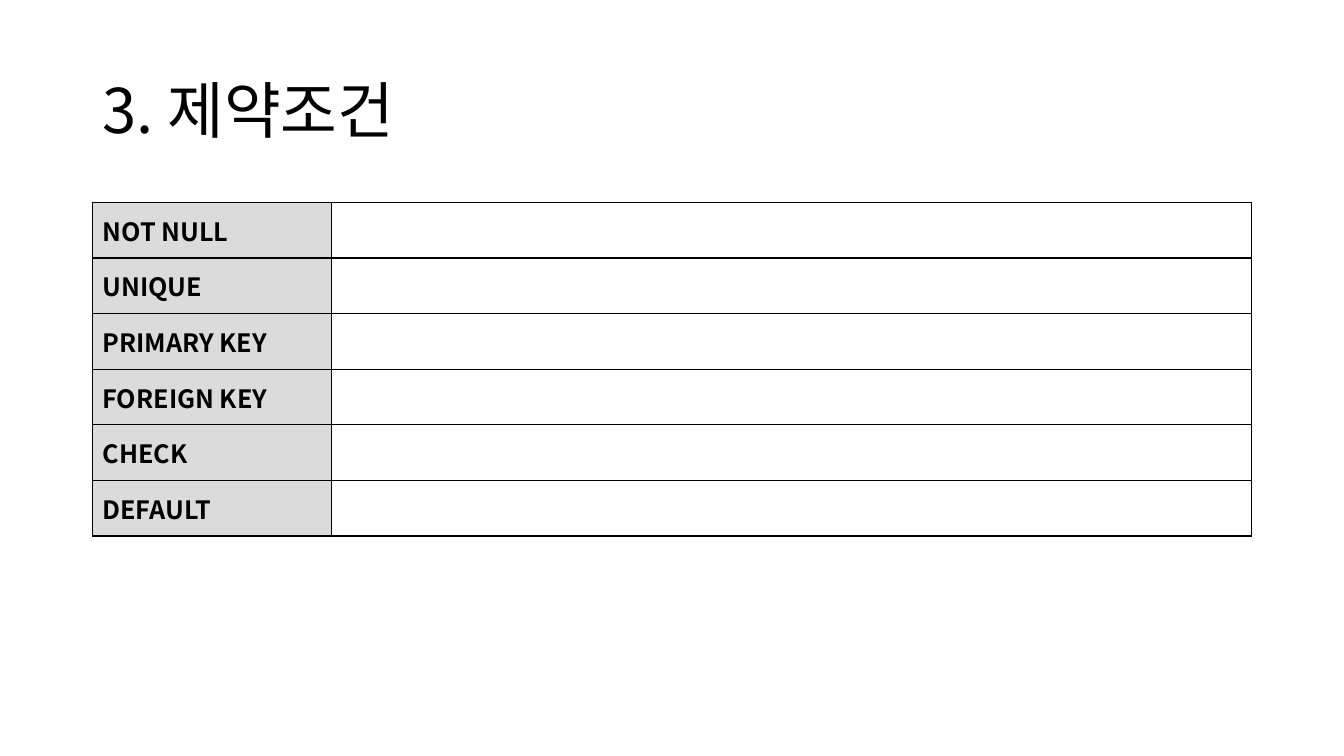
from dataclasses import dataclass

from lxml import etree
from pptx import Presentation
from pptx import util as u
from pptx.dml.color import RGBColor
from pptx.enum import text
from pptx.oxml import ns


@dataclass(frozen=True)
class Theme:
    font: str = "Noto Sans CJK KR"
    ink: str = "000000"
    label_fill: str = "DBDBDB"
    paper: str = "FFFFFF"
    title_size: int = 44
    label_size: int = 18
    rule_width: int = 1


THEME = Theme()
CONSTRAINTS = ["NOT NULL", "UNIQUE", "PRIMARY KEY", "FOREIGN KEY", "CHECK", "DEFAULT"]


def write(frame, words, size, bold=False, color=THEME.ink, spacing=1.0):
    """Put one formatted line of text into a text frame."""
    paragraph = frame.paragraphs[0]
    paragraph.line_spacing = spacing
    run = paragraph.add_run()
    run.text = words
    run.font.size = u.Pt(size)
    run.font.bold = bold
    run.font.name = THEME.font
    run.font.color.rgb = RGBColor.from_string(color)
    east_asian = etree.SubElement(run.font._element, ns.qn("a:ea"))
    east_asian.set("typeface", THEME.font)


def style_cell(cell, fill):
    """Give a cell its borders, fill and vertical centring."""
    cell.vertical_anchor = text.MSO_ANCHOR.MIDDLE
    properties = cell._tc.get_or_add_tcPr()
    for side in ("lnL", "lnR", "lnT", "lnB"):
        border = etree.SubElement(properties, ns.qn(f"a:{side}"))
        border.set("w", str(u.Pt(THEME.rule_width)))
        solid = etree.SubElement(border, ns.qn("a:solidFill"))
        etree.SubElement(solid, ns.qn("a:srgbClr")).set("val", THEME.ink)
    cell.fill.solid()
    cell.fill.fore_color.rgb = RGBColor.from_string(fill)


def add_heading(slide, words, left, top, width, height):
    frame = slide.shapes.add_textbox(left, top, width, height).text_frame
    frame.word_wrap = True
    frame.vertical_anchor = text.MSO_ANCHOR.MIDDLE
    write(frame, words, THEME.title_size, spacing=0.9)


def add_constraint_table(slide, names, left, top, width, height):
    constraints = slide.shapes.add_table(len(names), 2, left, top, width, height).table
    constraints.first_row = constraints.horz_banding = False
    # Narrow label column, the rest for the explanation
    label_width = u.Cm(6.02)
    constraints.columns[0].width = label_width
    constraints.columns[1].width = width - label_width
    for index, name in enumerate(names):
        label, explanation = constraints.cell(index, 0), constraints.cell(index, 1)
        style_cell(label, THEME.label_fill)
        style_cell(explanation, THEME.paper)
        write(label.text_frame, name, THEME.label_size, bold=True)


deck = Presentation()
deck.slide_width, deck.slide_height = u.Cm(33.87), u.Cm(19.05)
slide = deck.slides.add_slide(deck.slide_layouts[6])

# Heading and table share the same side margins
margin = u.Cm(2.33)
content_width = deck.slide_width - 2 * margin
add_heading(slide, "3. 제약조건", margin, u.Cm(1.01), content_width, u.Cm(3.68))
add_constraint_table(slide, CONSTRAINTS, margin, u.Cm(5.1), content_width, u.Cm(8.41))

deck.save("out.pptx")
